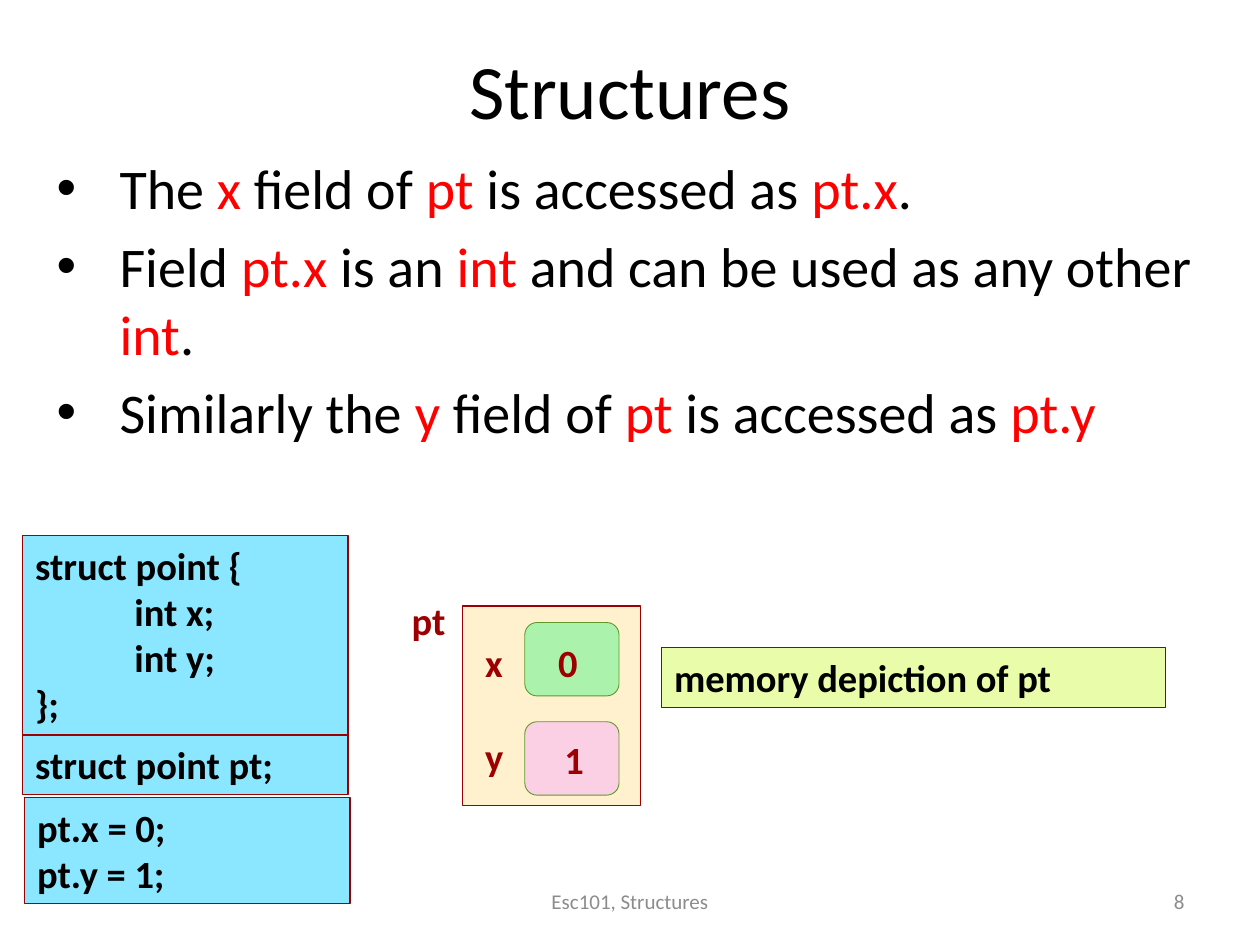
import pptx
import pptx.util
import pptx.dml.color
import pptx.enum.shapes
import pptx.enum.text
import lxml.etree
from pptx.util import Cm
from pptx.dml.color import RGBColor
from pptx.enum.shapes import MSO_SHAPE
from pptx.enum.text import MSO_ANCHOR, MSO_AUTO_SIZE, PP_ALIGN

BLACK = RGBColor(0x00, 0x00, 0x00)
RED = RGBColor(0xFF, 0x00, 0x00)
GRAY = RGBColor(0x8C, 0x8C, 0x8C)
MAROON = RGBColor(0x9D, 0x00, 0x00)
GREEN_LINE = RGBColor(0x5D, 0x9A, 0x2B)
CYAN = RGBColor(0x8B, 0xE6, 0xFF)
LIME = RGBColor(0xE8, 0xFC, 0xAA)
CREAM = RGBColor(0xFF, 0xF1, 0xCE)
GREEN = RGBColor(0xAB, 0xF3, 0xAD)
PINK = RGBColor(0xFB, 0xD0, 0xE4)
FONT = "Calibri"

BULLETS = [
    ["The ", "x", " field of ", "pt ", "is accessed as ", "pt.x", "."],
    ["Field ", "pt.x", " is an ", "int", " and can be used as any other ", "int", "."],
    ["Similarly the ", "y", " field of ", "pt ", "is accessed as ", "pt.y"],
]


def add_run(paragraph, text, size, color, bold=False):
    run = paragraph.add_run()
    run.text = text
    run.font.name = FONT
    run.font.size = pptx.util.Pt(size)
    run.font.bold = bold
    run.font.color.rgb = color


def add_lines(frame, lines, size, color, bold=False, align=PP_ALIGN.LEFT):
    for index, line in enumerate(lines):
        paragraph = frame.add_paragraph() if index else frame.paragraphs[0]
        paragraph.alignment = align
        add_run(paragraph, line, size, color, bold)
        if line.startswith("\t"):
            add_tab_stop(paragraph, Cm(2))


def add_tab_stop(paragraph, position):
    properties = paragraph._p.get_or_add_pPr()
    tabs = lxml.etree.SubElement(properties, pptx.oxml.ns.qn("a:tabLst"))
    lxml.etree.SubElement(tabs, pptx.oxml.ns.qn("a:tab"), pos=str(position), algn="l")


def add_bullet(paragraph, indent):
    properties = paragraph._p.get_or_add_pPr()
    properties.set("marL", str(indent))
    properties.set("indent", str(-indent))
    font = lxml.etree.SubElement(properties, pptx.oxml.ns.qn("a:buFont"))
    font.set("typeface", "Arial")
    bullet = lxml.etree.SubElement(properties, pptx.oxml.ns.qn("a:buChar"))
    bullet.set("char", "•")


def add_text(shapes, box, text, size, color, align=PP_ALIGN.CENTER):
    frame = shapes.add_textbox(*map(Cm, box)).text_frame
    frame.word_wrap = True
    frame.vertical_anchor = MSO_ANCHOR.MIDDLE
    add_lines(frame, [text], size, color, align=align)


def add_label(shapes, left, top, width, text):
    frame = shapes.add_textbox(Cm(left), Cm(top), Cm(width), Cm(1.2)).text_frame
    frame.word_wrap = False
    frame.auto_size = MSO_AUTO_SIZE.SHAPE_TO_FIT_TEXT
    add_lines(frame, [text], 22, MAROON, bold=True)


def add_bullets(shapes, box, bullets):
    frame = shapes.add_textbox(*map(Cm, box)).text_frame
    frame.word_wrap = True
    for index, parts in enumerate(bullets):
        paragraph = frame.add_paragraph() if index else frame.paragraphs[0]
        paragraph.space_before = pptx.util.Pt(6.4)
        add_bullet(paragraph, Cm(1.27))
        for position, part in enumerate(parts):
            add_run(paragraph, part, 32, RED if position % 2 else BLACK)


def add_box(shapes, kind, box, fill, line, line_width):
    shape = shapes.add_shape(kind, *map(Cm, box))
    shape.shadow.inherit = False
    shape.fill.solid()
    shape.fill.fore_color.rgb = fill
    shape.line.color.rgb = line
    shape.line.width = pptx.util.Pt(line_width)
    return shape


def add_code_box(shapes, box, fill, lines):
    shape = add_box(shapes, MSO_SHAPE.RECTANGLE, box, fill, MAROON, 0.75)
    frame = shape.text_frame
    frame.word_wrap = True
    frame.auto_size = MSO_AUTO_SIZE.SHAPE_TO_FIT_TEXT
    frame.vertical_anchor = MSO_ANCHOR.TOP
    add_lines(frame, lines, 22, BLACK, bold=True)


def add_memory(slide):
    shapes = slide.shapes.add_group_shape().shapes
    add_box(shapes, MSO_SHAPE.RECTANGLE, (9.32, 12.22, 3.6, 4.02), CREAM, MAROON, 0.75)
    for top, fill in ((12.55, GREEN), (14.55, PINK)):
        cell = add_box(shapes, MSO_SHAPE.ROUNDED_RECTANGLE, (10.58, top, 1.9, 1.48), fill, GREEN_LINE, 0.5)
        cell.adjustments[0] = 0.167
    add_label(shapes, 9.53, 12.75, 0.86, "x")
    add_label(shapes, 9.53, 14.66, 0.86, "y")
    add_label(shapes, 8.05, 11.91, 1.2, "pt")
    add_label(shapes, 11.13, 14.71, 0.89, "1")
    add_label(shapes, 11.0, 12.75, 0.89, "0")


def main():
    presentation = pptx.Presentation()
    presentation.slide_width = Cm(25.4)
    presentation.slide_height = Cm(19.05)
    slide = presentation.slides.add_slide(presentation.slide_layouts[6])
    shapes = slide.shapes
    add_text(shapes, (1.27, 0.2, 22.86, 3.18), "Structures", 44, BLACK)
    add_bullets(shapes, (0.89, 2.97, 23.6, 14.4), BULLETS)
    add_text(shapes, (8.68, 17.65, 8.04, 1.02), "Esc101, Structures", 12, GRAY)
    add_text(shapes, (18.2, 17.65, 5.93, 1.02), "8", 12, GRAY, PP_ALIGN.RIGHT)
    add_code_box(shapes, (0.5, 16.08, 6.56, 2.14), CYAN, ["pt.x = 0;", "pt.y = 1;"])
    add_code_box(shapes, (0.46, 10.8, 6.56, 4.02), CYAN, ["struct point {", "\tint x;", "\tint y;", "};"])
    add_code_box(shapes, (0.46, 14.82, 6.56, 1.2), CYAN, ["struct point pt;"])
    add_code_box(shapes, (13.34, 13.06, 10.16, 1.2), LIME, ["memory depiction of pt"])
    add_memory(slide)
    presentation.save("out.pptx")


main()
